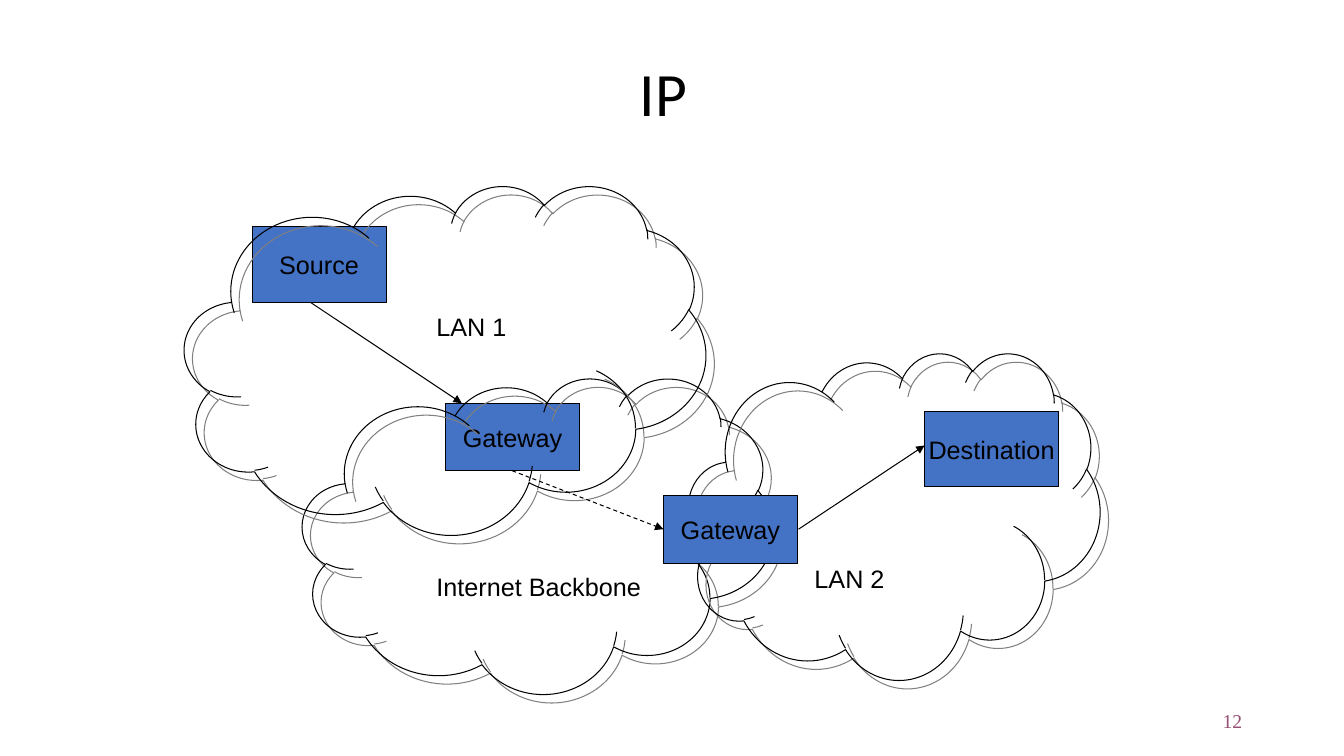
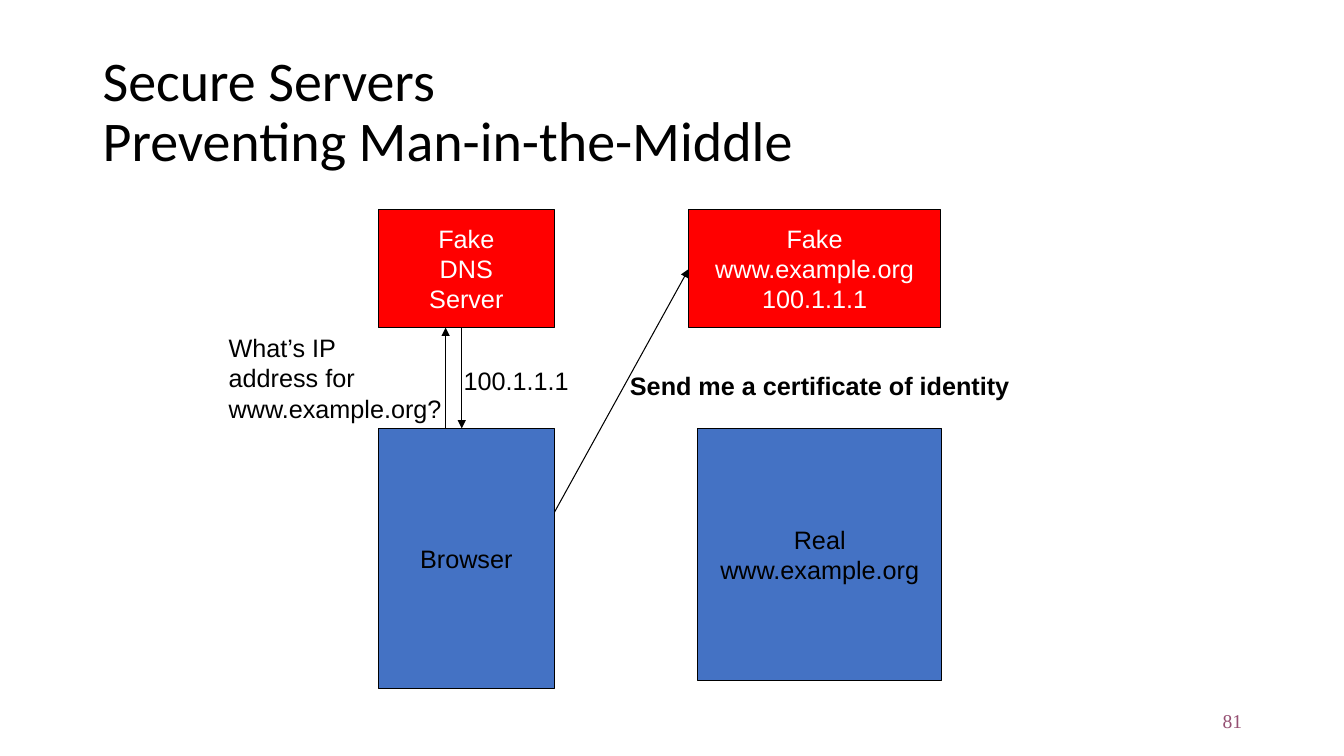
from lxml.etree import SubElement
from pptx import Presentation
from pptx.dml.color import RGBColor
from pptx.enum.dml import MSO_LINE
from pptx.enum.shapes import MSO_CONNECTOR, MSO_SHAPE
from pptx.enum.text import MSO_ANCHOR, PP_ALIGN
from pptx.oxml.ns import qn
from pptx.util import Inches, Pt

THEME = {
    "black": RGBColor.from_string("000000"),
    "white": RGBColor.from_string("FFFFFF"),
    "blue": RGBColor.from_string("4472C4"),
    "red": RGBColor.from_string("FF0000"),
    "plum": RGBColor.from_string("954F72"),
    "line": Pt(0.75),
    "body": {"name": "Arial", "size": Pt(18)},
    "title": {"name": "Calibri", "size": Pt(40)},
    "number": {"name": "Times New Roman", "size": Pt(14)},
}
MIDDLE = {"vertical_anchor": MSO_ANCHOR.MIDDLE, "word_wrap": True}
CENTRED = {"alignment": PP_ALIGN.CENTER}
LABEL = {"font": THEME["body"], "frame": {"word_wrap": False}}
TITLE = {"font": THEME["title"], "frame": MIDDLE, "paragraph": {"line_spacing": 0.9}}
CENTRED_TITLE = {
    **TITLE,
    "font": {**THEME["title"], "size": Pt(44)},
    "paragraph": {**TITLE["paragraph"], **CENTRED},
}
NUMBER = {
    "font": THEME["number"],
    "frame": MIDDLE,
    "paragraph": {"alignment": PP_ALIGN.RIGHT},
    "color": "plum",
}
NODE = {
    "font": THEME["body"],
    "frame": {**MIDDLE, "word_wrap": False},
    "paragraph": CENTRED,
    "fill": "blue",
}
FAKE = {**NODE, "fill": "red", "color": "white"}


def add_block(slide, text, bounds, style):
    """Add text in a filled rectangle, or in a text box if the style has no fill."""
    box = [Inches(value) for value in bounds]
    if "fill" in style:
        shape = slide.shapes.add_shape(MSO_SHAPE.RECTANGLE, *box)
        shape.shadow.inherit = False
        shape.fill.solid()
        shape.fill.fore_color.rgb = THEME[style["fill"]]
        shape.line.color.rgb = THEME["black"]
        shape.line.width = THEME["line"]
    else:
        shape = slide.shapes.add_textbox(*box)
    frame = shape.text_frame
    frame.text = text
    for name, value in style["frame"].items():
        setattr(frame, name, value)
    for paragraph in frame.paragraphs:
        for name, value in style.get("paragraph", {}).items():
            setattr(paragraph, name, value)
        for run in paragraph.runs:
            for name, value in style["font"].items():
                setattr(run.font, name, value)
            run.font.color.rgb = THEME[style.get("color", "black")]


def add_arrow(slide, start, end, dashed=False):
    points = [Inches(value) for value in (*start, *end)]
    arrow = slide.shapes.add_connector(MSO_CONNECTOR.STRAIGHT, *points)
    arrow.line.color.rgb = THEME["black"]
    arrow.line.width = THEME["line"]
    if dashed:
        arrow.line.dash_style = MSO_LINE.DASH
    SubElement(arrow.line._get_or_add_ln(), qn("a:tailEnd"), type="triangle")
    SubElement(arrow._element.spPr, qn("a:effectLst"))


presentation = Presentation()
presentation.slide_width = Inches(13.33)
presentation.slide_height = Inches(7.5)
blank = presentation.slide_layouts[6]
network_slide, servers_slide = [presentation.slides.add_slide(blank) for _ in range(2)]

for slide, number in ((network_slide, "12"), (servers_slide, "81")):
    add_block(slide, number, (9.42, 6.95, 3, 0.4), NUMBER)

# IP: two local networks joined by the backbone
add_block(network_slide, "IP", (2.08, 0.33, 9, 1.25), CENTRED_TITLE)
add_block(network_slide, "Source", (2.5, 2.25, 1.33, 0.75), NODE)
add_block(network_slide, "Gateway", (4.42, 4, 1.33, 0.67), NODE)

clouds = (
    (3, 3.75, 4.67, 3.13),
    (1.83, 1.84, 5.17, 3.46),
    (6.83, 3.5, 4.08, 3.24),
)
for bounds in clouds:
    cloud = network_slide.shapes.add_shape(
        MSO_SHAPE.CLOUD, *[Inches(value) for value in bounds]
    )
    cloud.fill.background()
    cloud.line.color.rgb = THEME["black"]
    cloud.line.width = THEME["line"]
    cloud.shadow.inherit = False
    effects = cloud._element.spPr.find(qn("a:effectLst"))
    shadow = SubElement(
        effects, qn("a:outerShdw"), dist=str(Pt(8.5)), dir="2700000",
        algn="ctr", rotWithShape="0",
    )
    SubElement(shadow, qn("a:srgbClr"), val="808080")

add_block(network_slide, "Gateway", (6.58, 4.92, 1.33, 0.67), NODE)
add_block(network_slide, "Destination", (9.17, 4.08, 1.33, 0.75), NODE)
add_arrow(network_slide, (3.08, 3), (4.58, 4))
add_arrow(network_slide, (5.08, 4.67), (6.58, 5.25), dashed=True)
add_arrow(network_slide, (7.92, 5.25), (9.17, 4.42))
for text, bounds in (
    ("LAN 1", (4.23, 3.04, 0.9, 0.4)),
    ("Internet Backbone", (4.23, 5.62, 2.23, 0.4)),
    ("LAN 2", (7.98, 5.54, 0.9, 0.4)),
):
    add_block(network_slide, text, bounds, LABEL)

# Secure servers: a fake DNS answer leads the browser to a fake site
add_block(
    servers_slide, "Secure Servers\vPreventing Man-in-the-Middle",
    (0.92, 0.4, 11.5, 1.45), TITLE,
)
for text, bounds, style in (
    ("Browser", (3.75, 4.25, 1.75, 2.58), NODE),
    ("Fake\nDNS\nServer", (3.75, 2.08, 1.75, 1.17), FAKE),
    ("Fake\nwww.example.org\n100.1.1.1", (6.83, 2.08, 2.5, 1.17), FAKE),
    ("Real\nwww.example.org", (6.92, 4.25, 2.42, 2.5), NODE),
    ("What’s IP\naddress for\nwww.example.org?", (2.17, 3.25, 2.33, 1), LABEL),
    ("100.1.1.1", (4.5, 3.58, 1.24, 0.4), LABEL),
    (
        "Send me a certificate of identity", (6.15, 3.62, 3.97, 0.4),
        {**LABEL, "font": {**THEME["body"], "bold": True}},
    ),
):
    add_block(servers_slide, text, bounds, style)
for start, end in (
    ((4.42, 4.25), (4.42, 3.25)),
    ((4.58, 3.25), (4.58, 4.25)),
    ((5.5, 5.08), (6.83, 2.67)),
):
    add_arrow(servers_slide, start, end)

presentation.save("out.pptx")
